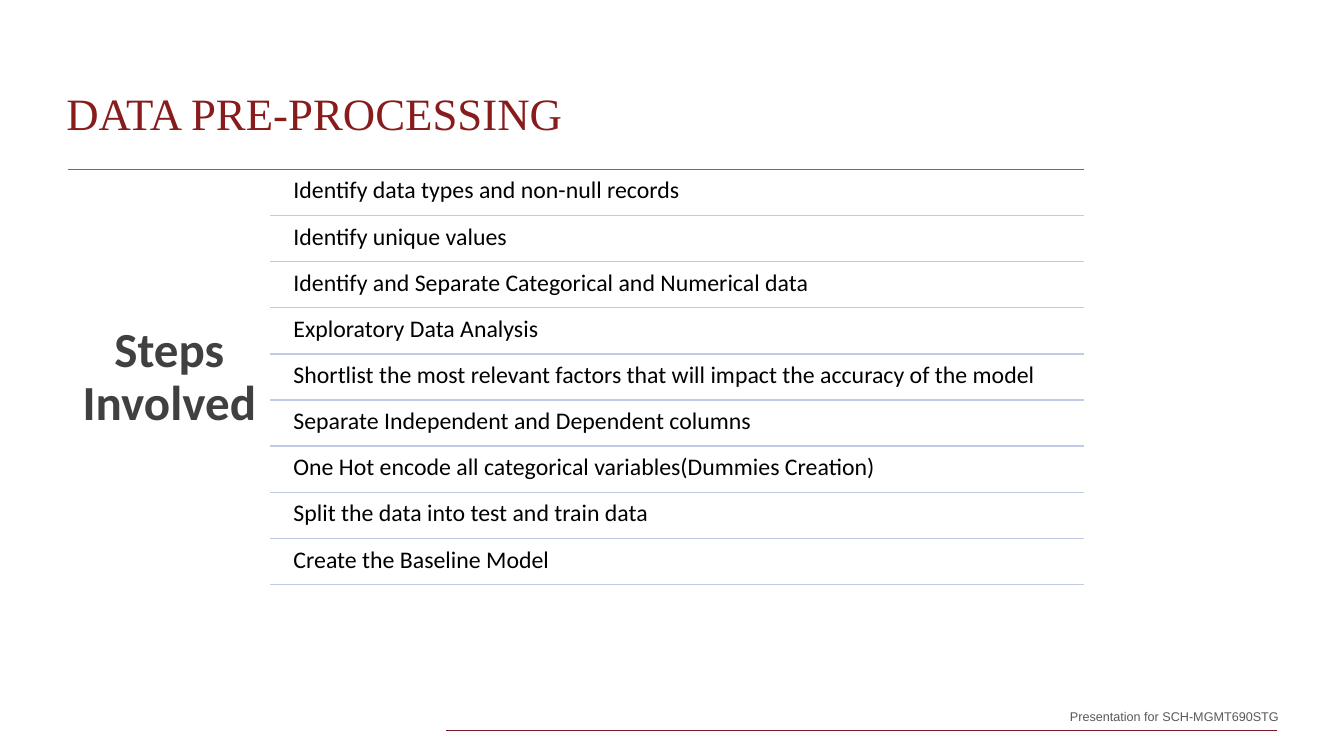
from dataclasses import dataclass

from pptx import Presentation
from pptx.dml.color import RGBColor
from pptx.enum.shapes import MSO_CONNECTOR
from pptx.enum.text import MSO_ANCHOR, PP_ALIGN
from pptx.oxml.ns import qn
from pptx.util import Inches, Pt


@dataclass(frozen=True)
class Theme:
    """Colours, fonts and type sizes of the slide."""
    title: str = "881C1C"
    foot: str = "595959"
    head: str = "404040"
    body: str = "000000"
    base: str = "7D172C"
    rule: str = "4472C4"
    thin: str = "C1C9E4"
    serif: str = "Times New Roman"
    sans: str = "Arial"
    main: str = "Calibri"
    big: int = 32
    lead: int = 35
    text: int = 17
    small: int = 9


class Deck:
    """Draw styled elements on the current slide."""

    def __init__(self, theme):
        """Start a deck with one blank slide."""
        self.theme = theme
        self.file = Presentation()
        self.file.slide_width = Inches(13.33)
        self.file.slide_height = Inches(7.5)
        self.slide = self.file.slides.add_slide(self.file.slide_layouts[6])

    def text(self, words, box, *, font, size, color, bold=False,
             align=PP_ALIGN.LEFT, anchor=MSO_ANCHOR.TOP, pad=(0.1, 0.05)):
        """Place one formatted paragraph in a box."""
        shape = self.slide.shapes.add_textbox(*map(Inches, box))
        frame = shape.text_frame
        frame.word_wrap = True
        frame.vertical_anchor = anchor
        frame.margin_left = frame.margin_right = Inches(pad[0])
        frame.margin_top = frame.margin_bottom = Inches(pad[1])
        para = frame.paragraphs[0]
        para.alignment = align
        para.line_spacing = 0.9
        run = para.add_run()
        run.text = words
        run.font.name = font
        run.font.size = Pt(size)
        run.font.bold = bold
        run.font.color.rgb = RGBColor.from_string(color)

    def line(self, left, right, top, color, width=1):
        """Draw a level line without a shadow."""
        line = self.slide.shapes.add_connector(
            MSO_CONNECTOR.STRAIGHT, Inches(left), Inches(top),
            Inches(right), Inches(top))
        line.line.color.rgb = RGBColor.from_string(color)
        line.line.width = Pt(width)
        props = line._element.spPr
        props.append(props.makeelement(qn("a:effectLst"), {}))


STEPS = [
    "Identify data types and non-null records",
    "Identify unique values",
    "Identify and Separate Categorical and Numerical data",
    "Exploratory Data Analysis",
    "Shortlist the most relevant factors that will impact the accuracy of the model",
    "Separate Independent and Dependent columns",
    "One Hot encode all categorical variables(Dummies Creation)",
    "Split the data into test and train data",
    "Create the Baseline Model",
]


def main():
    """Build and save the slide."""
    look = Theme()
    deck = Deck(look)
    left, split, right = 0.67, 2.68, 10.75
    top, end = 1.68, 5.8
    pitch = (end - top) / len(STEPS)

    deck.line(4.42, 12.67, 7.25, look.base, 0.5)
    deck.text("DATA PRE-PROCESSING", (0.56, 0.86, 6.86, 0.68),
              font=look.serif, size=look.big, color=look.title)
    deck.text("Presentation for SCH-MGMT690STG", (10.44, 7, 2.34, 0.25),
              font=look.sans, size=look.small, color=look.foot,
              align=PP_ALIGN.RIGHT)

    deck.line(left, right, top, look.rule)
    deck.text("Steps Involved", (left, top, 2.02, 4.14),
              font=look.main, size=look.lead, color=look.head, bold=True,
              align=PP_ALIGN.CENTER, anchor=MSO_ANCHOR.MIDDLE, pad=(0.1, 0.15))
    for row, step in enumerate(STEPS):
        high = top + row * pitch
        deck.text(step, (2.84, high + 0.02, 7.92, 0.44), font=look.main,
                  size=look.text, color=look.body, pad=(0.07, 0.07))
        deck.line(split, right, high + pitch, look.thin)
    deck.file.save("out.pptx")


if __name__ == "__main__":
    main()
